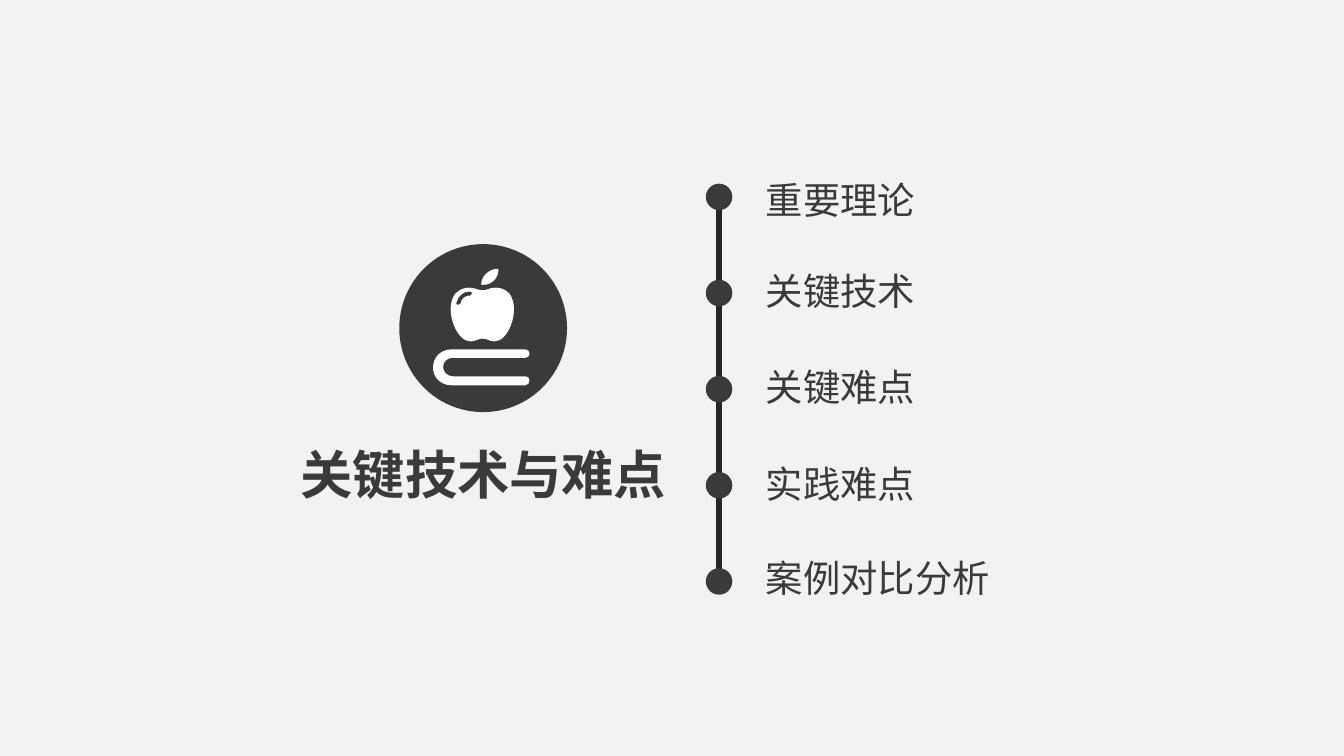
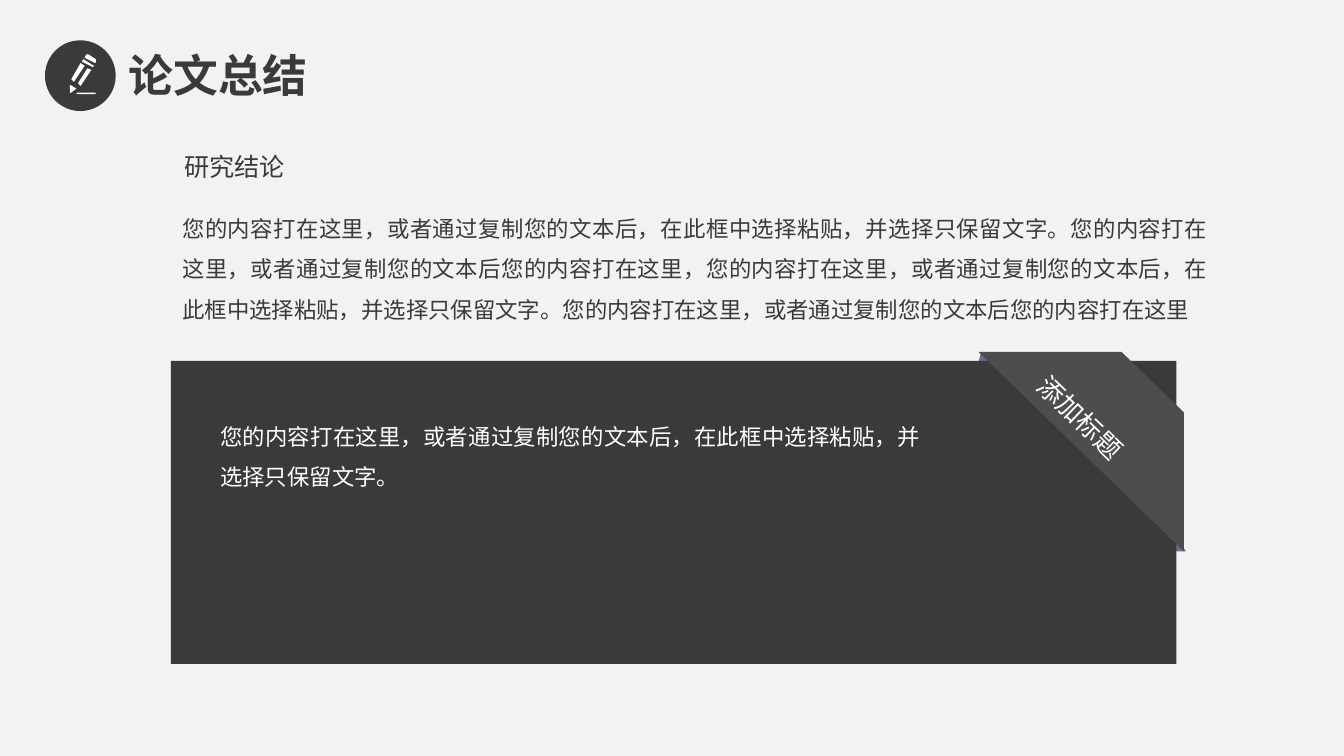
from lxml.etree import SubElement as sub
from pptx import Presentation
from pptx.dml.color import RGBColor as Rgb
from pptx.enum.shapes import MSO_CONNECTOR as Line, MSO_SHAPE as Kind
from pptx.enum.text import MSO_ANCHOR as Anchor, MSO_AUTO_SIZE as Auto, PP_ALIGN as Align
from pptx.oxml.ns import qn
from pptx.util import Pt

COLORS = {
    "back": "F2F2F2", "dark": "3A3A3A", "rail": "262626",
    "band": "4D4D4D", "fold": "686C86", "white": "FFFFFF",
}
HEAD, BODY = "Arial", "Noto Sans CJK SC"

CHAPTER = "关键技术与难点"
TOPICS = [
    ("重要理论", 91.4), ("关键技术", 140.4), ("关键难点", 191.5),
    ("实践难点", 243.4), ("案例对比分析", 293.8),
]
TITLE = "论文总结"
LEAD = "研究结论"
MAIN = (
    "您的内容打在这里，或者通过复制您的文本后，在此框中选择粘贴，并选择只保留文字。"
    "您的内容打在这里，或者通过复制您的文本后您的内容打在这里，"
    "您的内容打在这里，或者通过复制您的文本后，在此框中选择粘贴，并选择只保留文字。"
    "您的内容打在这里，或者通过复制您的文本后您的内容打在这里"
)
NOTE = "您的内容打在这里，或者通过复制您的文本后，在此框中选择粘贴，并选择只保留文字。"
TAG = "添加标题"

BOOK = [
    (283.7, 203.8), (283.7, 205.2, 282.9, 206.4, 281.5, 206.4), (241.9, 206.4),
    (236.2, 206.4, 232, 202.3, 232, 196.9),
    (232, 191.5, 236.2, 187.2, 241.9, 187.2), (281.5, 187.2),
    (282.9, 187.2, 283.7, 188.3, 283.7, 189.4),
    (283.7, 190.8, 282.9, 191.7, 281.5, 191.7), (242.6, 191.7),
    (239.8, 191.7, 237.4, 193.7, 237.4, 196.6),
    (237.4, 199.4, 239.8, 201.6, 242.6, 201.6), (281.5, 201.6),
    (282.9, 201.6, 283.7, 202.6, 283.7, 203.8),
]
LEAF = [
    (259, 152.6), (263.5, 152.6, 267.1, 149, 267.1, 144.2), (266.8, 144),
    (262, 144, 257.8, 148, 257.8, 152.5),
]
FRUIT = [
    (274.3, 159.8), (272.9, 155.5, 268.6, 154.1, 265.7, 154.1),
    (262.1, 154.1, 261.4, 155.5, 258.5, 155.5),
    (255.6, 155.5, 254.9, 154.1, 251.3, 154.1),
    (248.4, 154.1, 244.1, 155.5, 242.6, 159.8),
    (239, 167.8, 244.8, 182.9, 252, 182.9),
    (254.9, 182.9, 256.3, 181.4, 258.5, 181.4),
    (261.4, 181.4, 262.1, 182.9, 265, 182.9),
    (272.2, 182.9, 277.9, 167.8, 274.3, 159.8),
]
SHINE = [
    (252, 158.4), (251.3, 158.4), (249.8, 158.4, 247, 159.8, 246.8, 162.5),
    (246.4, 163, 246, 163.4, 245.5, 163.4),
    (244.8, 163.4, 244.1, 162.7, 244.6, 162),
    (245.5, 158.4, 248.4, 156.2, 251.3, 156.2), (252, 156.2),
    (252.7, 156.2, 252.9, 157, 252.9, 157.4),
    (252.9, 158, 252.5, 158.4, 252, 158.4),
]
STUDY = [BOOK, LEAF, FRUIT, SHINE]
PENCIL = [
    [(46.1, 29.5), (46.4, 28.9, 46.9, 28.9, 47.5, 29.2), (51.3, 31.7),
     (51.8, 32.2, 51.8, 32.6, 51.5, 33.1), (51.1, 33.8), (45.4, 31)],
    [(44.6, 31.7), (43.9, 33.1), (49.7, 36), (50.4, 35.3)],
    [(37.4, 49.7), (37.4, 45.4), (41, 47.5), (37.6, 50)],
    [(38.2, 42.5), (43.2, 33.8), (45.4, 35.3), (39.6, 43.9)],
    [(41.8, 44.6), (46.8, 36.7), (49, 37.4), (43.2, 46.1)],
    [(41.4, 49.7), (51.1, 49.7), (51.4, 50), (51.1, 50.4), (41.4, 50.4), (41, 50)],
]
FOLDS = [
    [(635.4, 295.4), (627.1, 295.4), (627.1, 285.1)],
    [(525.6, 188.5), (524.2, 194.4), (533.5, 194.4)],
]
BAND = [(524.2, 188.5), (634.3, 295.4), (634.3, 221), (600.8, 188.5)]


def tint(name):
    return Rgb.from_string(COLORS[name])


def paint(shape, color, edge=None):
    shape.shadow.inherit = False
    shape.fill.solid()
    shape.fill.fore_color.rgb = tint(color)
    if edge:
        shape.line.color.rgb = tint(edge)
        shape.line.width = Pt(1)
    else:
        shape.line.fill.background()
    return shape


def block(host, kind, area, color, edge=None):
    return paint(host.shapes.add_shape(kind, *map(Pt, area)), color, edge)


def bend(shape, paths):
    left, top = shape.left, shape.top
    lines = shape._element.spPr.iter(qn("a:lnTo"))
    parts = [part for path in paths for part in path[1:]]
    for node, part in zip(list(lines), parts):
        if len(part) == 2:
            continue
        node.clear()
        curve = node.makeelement(qn("a:cubicBezTo"))
        for x, y in zip(part[::2], part[1::2]):
            spot = sub(curve, qn("a:pt"))
            spot.set("x", str(Pt(x) - left))
            spot.set("y", str(Pt(y) - top))
        node.getparent().replace(node, curve)


def draw(host, paths, color):
    lines = [[(Pt(part[-2]), Pt(part[-1])) for part in path] for path in paths]
    pen = host.shapes.build_freeform(*lines[0][0])
    for spot, line in enumerate(lines):
        if spot:
            pen.move_to(*line[0])
        pen.add_line_segments(line[1:], close=False)
        if line[-1] != line[0]:
            pen.add_line_segments([line[0]], close=False)
    shape = pen.convert_to_shape()
    bend(shape, [path if line[-1] == line[0] else path + [path[0]]
                 for path, line in zip(paths, lines)])
    return paint(shape, color)


def write(shape, text, size, color="dark", face=BODY, bold=False,
          align=Align.LEFT, space=None, wrap=False):
    frame = shape.text_frame
    frame.word_wrap = wrap
    frame.auto_size = Auto.SHAPE_TO_FIT_TEXT
    para = frame.paragraphs[0]
    para.text = text
    para.alignment = align
    if space:
        para.line_spacing = space
    font = para.font
    font.name, font.size, font.bold = face, Pt(size), bold
    font.color.rgb = tint(color)
    base = para._p.pPr.find(qn("a:defRPr"))
    sub(base, qn("a:ea")).set("typeface", BODY)


def label(host, area, text, size, **style):
    box = host.shapes.add_textbox(*map(Pt, area))
    box.text_frame.vertical_anchor = Anchor.TOP
    write(box, text, size, **style)


def badge(slide, area, icon):
    group = slide.shapes.add_group_shape()
    block(group, Kind.OVAL, area, "dark", "dark")
    draw(group, icon, "white")


def outline(slide):
    label(slide, (87.6, 233.3, 342.7, 41), CHAPTER, 28, face=HEAD, bold=True,
          align=Align.CENTER, wrap=True)
    badge(slide, (214.4, 131.3, 88.9, 89), STUDY)
    group = slide.shapes.add_group_shape()
    mid, top, gap, dot = 385.2, 98.4, 51.5, 14.2
    rail = group.shapes.add_connector(
        Line.STRAIGHT, Pt(mid), Pt(100.1), Pt(mid), Pt(311.8))
    rail.line.color.rgb = tint("rail")
    rail.line.width = Pt(3)
    sub(rail._element.spPr, qn("a:effectLst"))
    for row, (text, y) in enumerate(TOPICS):
        block(group, Kind.OVAL, (mid - dot / 2, top + row * gap, dot, dot), "dark")
        label(slide, (403.1, y, len(text) * 20 + 15, 31.7), text, 20)


def summary(slide):
    prose = dict(align=Align.JUSTIFY, space=1.5, wrap=True)
    group = slide.shapes.add_group_shape()
    label(group, (90.6, 104.5, 564, 94.3), MAIN, 12, **prose)
    label(group, (91.7, 77.8, 69.1, 23.8), LEAD, 13.5)
    group = slide.shapes.add_group_shape()
    for fold in FOLDS:
        draw(group, [fold], "fold")
    block(group, Kind.RECTANGLE, (91.6, 193.3, 538.6, 162.4), "dark")
    label(group, (110.9, 216, 389.5, 48.2), NOTE, 12, color="white", **prose)
    group = slide.shapes.add_group_shape()
    draw(group, [BAND], "band")
    tag = block(group, Kind.RECTANGLE, (543.6, 211.7, 71.3, 24.5), "band")
    tag.rotation = 44
    write(tag, TAG, 14, color="white")
    label(slide, (61.8, 22, 169.9, 36.7), TITLE, 24, face=HEAD, bold=True, wrap=True)
    badge(slide, (24.6, 22.1, 36.9, 36.9), PENCIL)


def main():
    deck = Presentation()
    deck.slide_width, deck.slide_height = Pt(720), Pt(405)
    fill = deck.slide_master.background.fill
    fill.solid()
    fill.fore_color.rgb = tint("back")
    for build in (outline, summary):
        build(deck.slides.add_slide(deck.slide_layouts[6]))
    deck.save("out.pptx")


if __name__ == "__main__":
    main()
